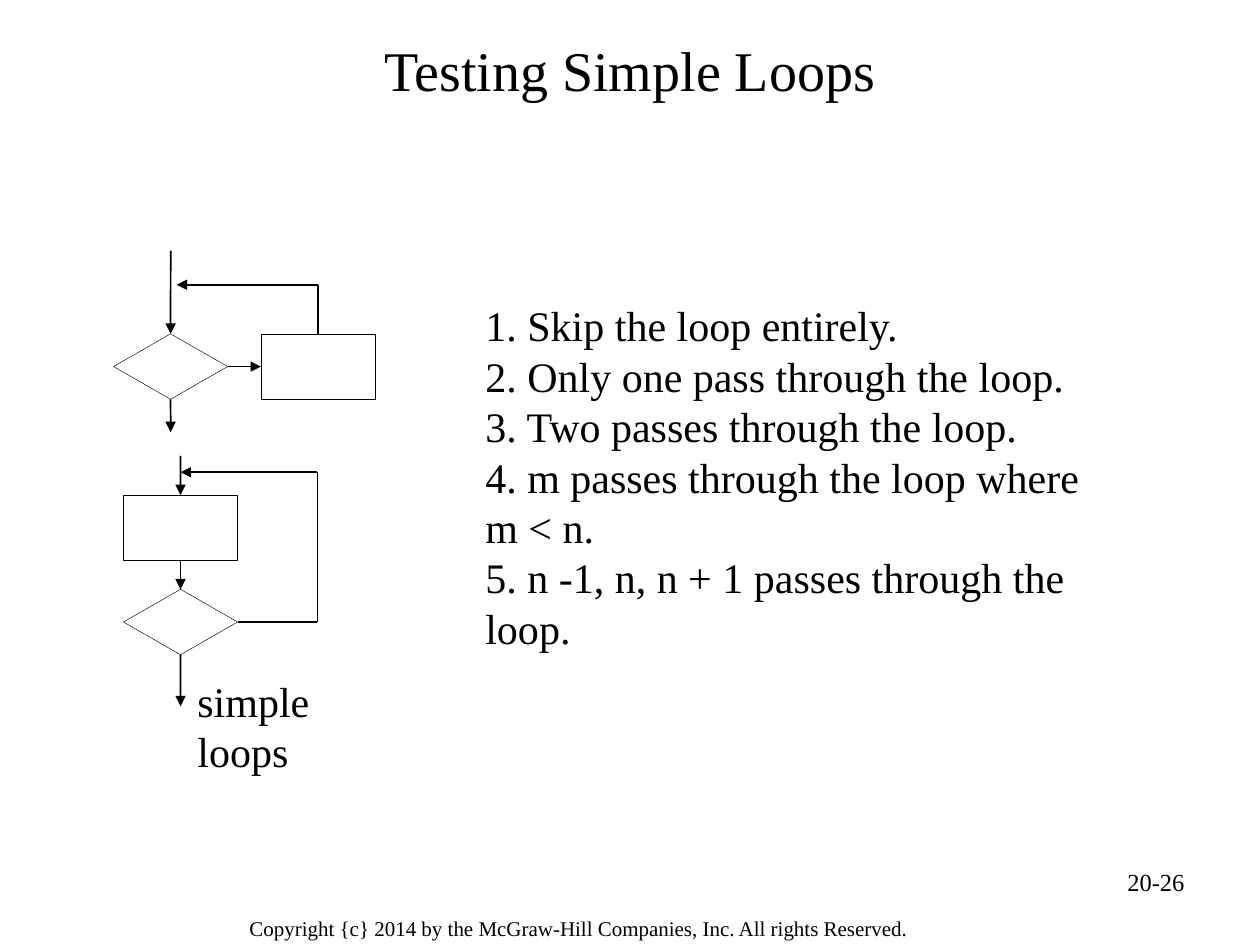
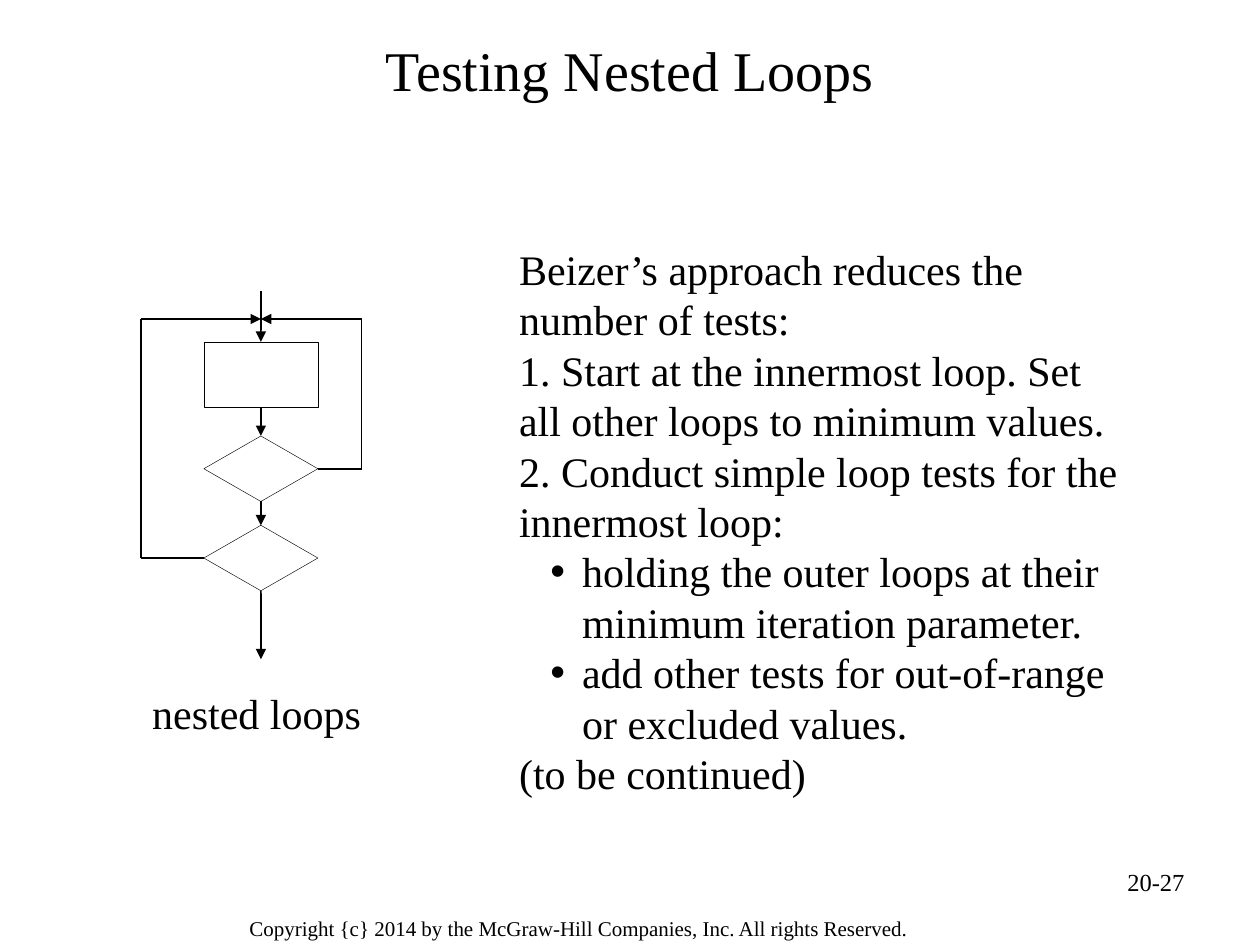
from dataclasses import dataclass
from itertools import pairwise

from lxml.etree import SubElement
from pptx import Presentation
from pptx.dml.color import RGBColor
from pptx.enum.shapes import MSO_CONNECTOR, MSO_SHAPE
from pptx.enum.text import MSO_ANCHOR, MSO_AUTO_SIZE, PP_ALIGN
from pptx.oxml.ns import qn
from pptx.util import Cm, Pt


@dataclass(frozen=True)
class Theme:
    font: str = "Times New Roman"
    ink: RGBColor = RGBColor(0, 0, 0)
    title_size: float = 32
    text_size: float = 24
    number_size: float = 14
    footer_size: float = 12
    line_pitch: float = 28.8
    outline: float = 0.25
    arrow: float = 1


THEME = Theme()
TOP, LEFT, BOTTOM, RIGHT = range(4)
NODE_WIDTH, NODE_HEIGHT = 2.3, 1.32
SIDE_OFFSETS = {
    TOP: (NODE_WIDTH / 2, 0),
    LEFT: (0, NODE_HEIGHT / 2),
    BOTTOM: (NODE_WIDTH / 2, NODE_HEIGHT),
    RIGHT: (NODE_WIDTH, NODE_HEIGHT / 2),
}
COPYRIGHT = "Copyright {c} 2014 by the McGraw-Hill Companies, Inc. All rights Reserved."


def place(shape, left, top, width, height):
    shape.left, shape.top = Cm(left), Cm(top)
    shape.width, shape.height = Cm(width), Cm(height)


def style(paragraph, size, alignment=PP_ALIGN.LEFT):
    paragraph.alignment = alignment
    paragraph.font.name = THEME.font
    paragraph.font.size = Pt(size)
    paragraph.font.color.rgb = THEME.ink


def add_text(slide, text, box, size, alignment=PP_ALIGN.LEFT, wrap=True):
    shape = slide.shapes.add_textbox(*map(Cm, box))
    shape.text_frame.word_wrap = wrap
    paragraph = shape.text_frame.paragraphs[0]
    paragraph.text = text
    style(paragraph, size, alignment)
    return paragraph


def set_bullet(paragraph, character):
    """Give the paragraph a hanging bullet, or none if character is empty."""
    properties = paragraph._p.get_or_add_pPr()
    properties.set("marL", str(Cm(1.27) if character else 0))
    properties.set("indent", str(Cm(-0.64) if character else 0))
    if character:
        SubElement(properties, qn("a:buChar"), char=character)
    else:
        SubElement(properties, qn("a:buNone"))


def fill_body(body, items, box):
    """Write (bullet, text) items into the body placeholder."""
    place(body, *box)
    frame = body.text_frame
    frame.auto_size = MSO_AUTO_SIZE.NONE
    frame.vertical_anchor = MSO_ANCHOR.TOP
    for index, (bullet, text) in enumerate(items):
        paragraph = frame.add_paragraph() if index else frame.paragraphs[0]
        paragraph.text = text
        set_bullet(paragraph, bullet)
        paragraph.space_before = Pt(0)
        paragraph.line_spacing = Pt(THEME.line_pitch)
        style(paragraph, THEME.text_size)


def add_content_slide(presentation, title, number, items, body_box):
    slide = presentation.slides.add_slide(presentation.slide_layouts[1])
    heading = slide.shapes.title
    place(heading, 1.27, 0.46, 22.86, 1.85)
    heading.text_frame.vertical_anchor = MSO_ANCHOR.MIDDLE
    heading.text_frame.text = title
    style(heading.text_frame.paragraphs[0], THEME.title_size, PP_ALIGN.CENTER)
    fill_body(slide.placeholders[1], items, body_box)
    add_text(slide, COPYRIGHT, (4.78, 18.34, 15.72, 0.79), THEME.footer_size)
    add_text(slide, number, (18.21, 17.35, 5.92, 1.32), THEME.number_size, PP_ALIGN.RIGHT)
    return slide


def add_caption(slide, text, left, top):
    caption = add_text(slide, text, (left, top, 4.75, 1.27), THEME.text_size, wrap=False)
    caption.line_spacing = Pt(THEME.line_pitch)


@dataclass(frozen=True)
class Node:
    shape: object
    x: float
    y: float

    def side(self, site):
        return Joint(self, site)


@dataclass(frozen=True)
class Joint:
    """The middle of one side of a node."""
    node: Node
    site: int

    @property
    def point(self):
        dx, dy = SIDE_OFFSETS[self.site]
        return self.node.x + dx, self.node.y + dy


@dataclass(frozen=True)
class FlowChart:
    """Nodes and arrows placed in cm from the chart's own corner."""
    slide: object
    left: float
    top: float

    def position(self, x, y):
        return Cm(self.left + x), Cm(self.top + y)

    def node(self, kind, x, y):
        shape = self.slide.shapes.add_shape(
            kind, *self.position(x, y), Cm(NODE_WIDTH), Cm(NODE_HEIGHT))
        shape.shadow.inherit = False
        shape.fill.background()
        shape.line.color.rgb = THEME.ink
        shape.line.width = Pt(THEME.outline)
        return Node(shape, x, y)

    def process(self, x, y):
        return self.node(MSO_SHAPE.RECTANGLE, x, y)

    def decision(self, x, y):
        return self.node(MSO_SHAPE.DIAMOND, x, y)

    def segment(self, start, end):
        points = [stop.point if isinstance(stop, Joint) else stop for stop in (start, end)]
        connector = self.slide.shapes.add_connector(
            MSO_CONNECTOR.STRAIGHT, *self.position(*points[0]), *self.position(*points[1]))
        connector.line.color.rgb = THEME.ink
        connector.line.width = Pt(THEME.arrow)
        SubElement(connector._element.spPr, qn("a:effectLst"))
        if isinstance(start, Joint):
            connector.begin_connect(start.node.shape, start.site)
        if isinstance(end, Joint):
            connector.end_connect(end.node.shape, end.site)
        return connector

    def route(self, *stops):
        """Join the stops by straight lines, with an arrowhead at the last."""
        for start, end in pairwise(stops):
            connector = self.segment(start, end)
        SubElement(connector.line._get_or_add_ln(), qn("a:tailEnd"), type="triangle")


def draw_pretest_loop(slide, left, top):
    chart = FlowChart(slide, left, top)
    axis, return_y = NODE_WIDTH / 2, 0.69
    test = chart.decision(0, 1.68)
    work = chart.process(2.97, 1.68)
    work_top = work.side(TOP)
    chart.route((axis, 0), test.side(TOP))
    chart.route(test.side(RIGHT), work.side(LEFT))
    chart.route(work_top, (work_top.point[0], return_y), (axis + 0.12, return_y))
    chart.route(test.side(BOTTOM), (axis, 3.66))


def draw_posttest_loop(slide, left, top):
    chart = FlowChart(slide, left, top)
    axis, return_x, return_y = NODE_WIDTH / 2, 3.91, 0.33
    work = chart.process(0, 0.79)
    test = chart.decision(0, 2.69)
    test_right = test.side(RIGHT)
    chart.route((axis, 0), work.side(TOP))
    chart.route(work.side(BOTTOM), test.side(TOP))
    chart.route(test_right, (return_x, test_right.point[1]),
                (return_x, return_y), (axis, return_y))
    chart.route(test.side(BOTTOM), (axis, 5.05))


def draw_nested_loops(slide, left, top):
    chart = FlowChart(slide, left, top)
    node_x, return_y = 1.27, 0.56
    axis = node_x + NODE_WIDTH / 2
    work = chart.process(node_x, 1.02)
    inner_test = chart.decision(node_x, 2.92)
    outer_test = chart.decision(node_x, 4.72)
    chart.route((axis, 0), work.side(TOP))
    for upper, lower in pairwise((work, inner_test, outer_test)):
        chart.route(upper.side(BOTTOM), lower.side(TOP))
    chart.route(outer_test.side(BOTTOM), (axis, 7.42))
    for joint, return_x in ((inner_test.side(RIGHT), 4.45), (outer_test.side(LEFT), 0)):
        chart.route(joint, (return_x, joint.point[1]),
                    (return_x, return_y), (axis, return_y))


def add_simple_loops_slide(presentation):
    items = [
        ("", "1. Skip the loop entirely."),
        ("", "2. Only one pass through the loop."),
        ("", "3. Two passes through the loop."),
        ("", "4. m passes through the loop where m < n."),
        ("", "5. n -1, n, n + 1 passes through the loop."),
    ]
    slide = add_content_slide(presentation, "Testing Simple Loops", "20-26",
                              items, (9.53, 5.92, 13.2, 8.92))
    draw_pretest_loop(slide, 2.29, 5.05)
    draw_posttest_loop(slide, 2.49, 9.19)
    add_caption(slide, "simple loops", 3.73, 13.49)


def add_nested_loops_slide(presentation):
    items = [
        ("", "Beizer’s approach reduces the number of tests:"),
        ("", "1. Start at the innermost loop. Set all other loops to minimum values."),
        ("", "2. Conduct simple loop tests for the innermost loop:"),
        ("•", "holding the outer loops at their minimum iteration parameter."),
        ("•", "add other tests for out-of-range or excluded values."),
        ("", "(to be continued)"),
    ]
    slide = add_content_slide(presentation, "Testing Nested Loops", "20-27",
                              items, (10.21, 4.78, 12.78, 11.43))
    draw_nested_loops(slide, 2.84, 5.87)
    add_caption(slide, "nested loops", 2.82, 13.74)


def main():
    presentation = Presentation()
    presentation.slide_width, presentation.slide_height = Cm(25.4), Cm(19.05)
    add_simple_loops_slide(presentation)
    add_nested_loops_slide(presentation)
    presentation.save("out.pptx")


if __name__ == "__main__":
    main()
